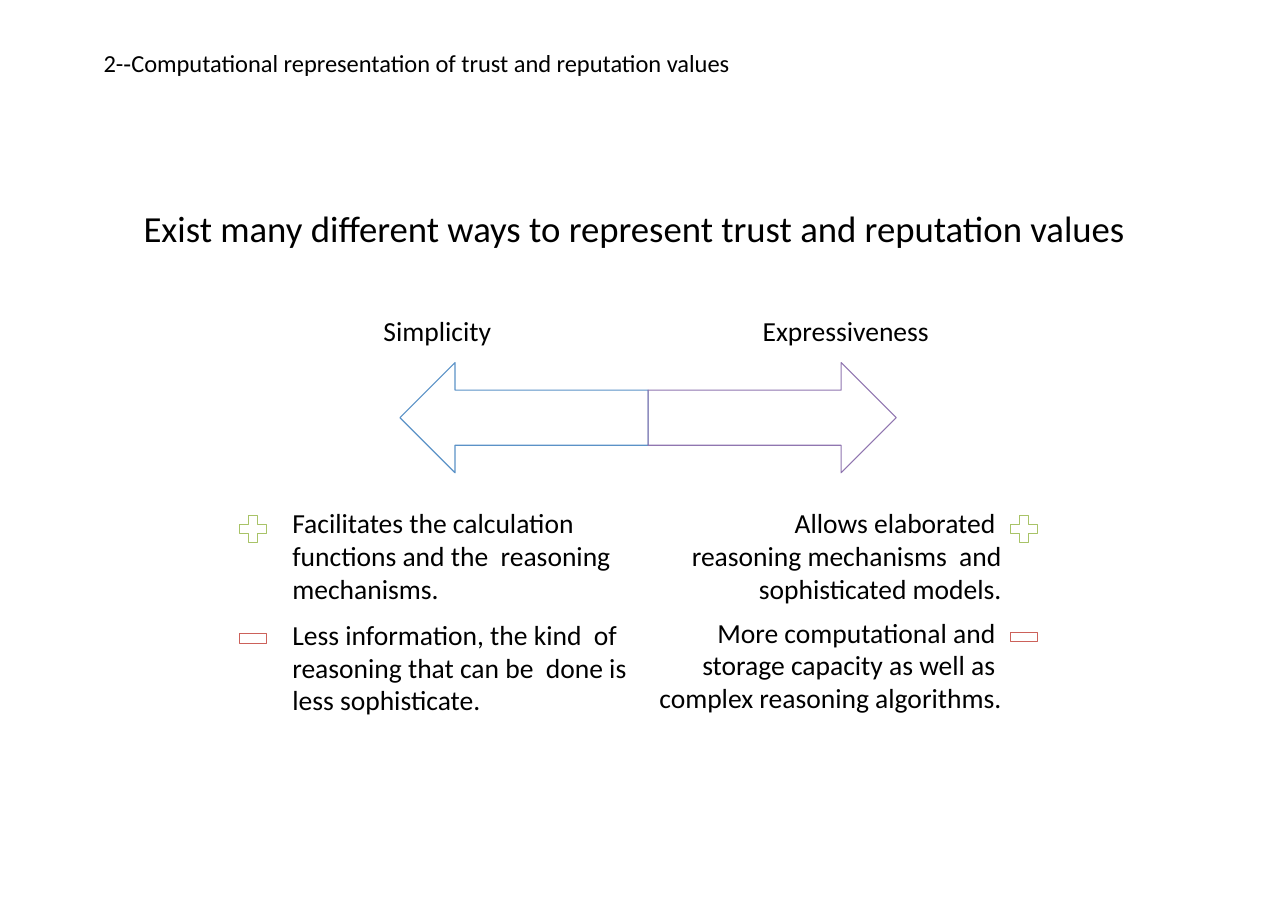
from dataclasses import dataclass

from pptx import Presentation
from pptx.dml.color import RGBColor
from pptx.enum.shapes import MSO_SHAPE
from pptx.enum.text import PP_ALIGN
from pptx.util import Cm, Pt

HEADER = "2-‐Computational representation of trust and reputation values"
HEADING = "Exist many diﬀerent ways to represent trust and reputation values"

# Each argument: text, space before (pt), left margin and first-line indent (cm)
SIDES = [
    {
        "label": "Simplicity", "label_left": 8.81, "label_width": 3.28,
        "arrow": MSO_SHAPE.LEFT_ARROW, "color": "simplicity",
        "text_left": 6.71, "text_width": 8.15, "align": PP_ALIGN.LEFT,
        "sign_left": 5.52, "minus_top": 14.61,
        "arguments": [
            ("Facilitates the calculation  functions and the  reasoning mechanisms.", 0, 0.03, 0),
            ("Less information, the kind  of reasoning that can be  done is less sophisticate.",
             9, 0.03, 0),
        ],
    },
    {
        "label": "Expressiveness", "label_left": 17.55, "label_width": 5.36,
        "arrow": MSO_SHAPE.RIGHT_ARROW, "color": "expressiveness",
        "text_left": 14.22, "text_width": 8.87, "align": PP_ALIGN.RIGHT,
        "sign_left": 23.3, "minus_top": 14.58,
        "arguments": [
            ("Allows elaborated  reasoning mechanisms  and sophisticated models.", 0, 1.22, 2.08),
            ("More computational and  storage capacity as well as  complex reasoning algorithms.",
             7.5, 0.03, 1.47),
        ],
    },
]

ARROW_LEFT, ARROW_TOP, ARROW_WIDTH, ARROW_HEIGHT = 9.22, 8.36, 5.72, 2.54
SIGN_SIZE, MINUS_HEIGHT, PLUS_TOP = 0.62, 0.22, 11.89


@dataclass(frozen=True)
class Theme:
    font: str = "Calibri"
    text: str = "000000"
    simplicity: str = "5B92C7"
    expressiveness: str = "9076B0"
    plus: str = "A8C367"
    minus: str = "CC615A"
    header_size: float = 16
    heading_size: float = 24
    body_size: float = 18
    line_width: float = 0.75


THEME = Theme()


def add_text_frame(slide, left, top, width, height):
    frame = slide.shapes.add_textbox(Cm(left), Cm(top), Cm(width), Cm(height)).text_frame
    frame.word_wrap = True
    frame.margin_left = frame.margin_right = frame.margin_bottom = 0
    frame.margin_top = Cm(0.04)
    return frame


def fill_paragraph(paragraph, text, size, margin=0.03, indent=0):
    paragraph.text = text
    properties = paragraph._p.get_or_add_pPr()
    properties.set("marL", str(Cm(margin)))
    properties.set("indent", str(Cm(indent)))
    paragraph.font.name = THEME.font
    paragraph.font.size = Pt(size)
    paragraph.font.color.rgb = RGBColor.from_string(THEME.text)


def add_line_of_text(slide, text, size, *box):
    fill_paragraph(add_text_frame(slide, *box).paragraphs[0], text, size)


def add_outline(slide, kind, color, left, top, width, height, *adjustments):
    """Add an unfilled preset shape with a thin coloured line."""
    shape = slide.shapes.add_shape(kind, Cm(left), Cm(top), Cm(width), Cm(height))
    for index, value in enumerate(adjustments):
        shape.adjustments[index] = value
    shape.shadow.inherit = False
    shape.fill.background()
    shape.line.color.rgb = RGBColor.from_string(color)
    shape.line.width = Pt(THEME.line_width)


def add_side(slide, side, arrow_left):
    add_outline(slide, side["arrow"], getattr(THEME, side["color"]),
                arrow_left, ARROW_TOP, ARROW_WIDTH, ARROW_HEIGHT, 0.5, 0.5)
    add_line_of_text(slide, side["label"], THEME.body_size,
                     side["label_left"], 7.21, side["label_width"], 0.84)
    add_outline(slide, MSO_SHAPE.CROSS, THEME.plus,
                side["sign_left"], PLUS_TOP, SIGN_SIZE, SIGN_SIZE, 0.34)
    add_outline(slide, MSO_SHAPE.RECTANGLE, THEME.minus,
                side["sign_left"], side["minus_top"], SIGN_SIZE, MINUS_HEIGHT)

    frame = add_text_frame(slide, side["text_left"], 11.66, side["text_width"], 4.95)
    for index, (text, space_before, margin, indent) in enumerate(side["arguments"]):
        paragraph = frame.add_paragraph() if index else frame.paragraphs[0]
        paragraph.alignment = side["align"]
        paragraph.line_spacing = 0.99
        if index:
            paragraph.space_before = Pt(space_before)
        fill_paragraph(paragraph, text, THEME.body_size, margin, indent)


def main():
    presentation = Presentation()
    presentation.slide_width, presentation.slide_height = Cm(29.69), Cm(20.98)
    slide = presentation.slides.add_slide(presentation.slide_layouts[6])
    add_line_of_text(slide, HEADER, THEME.header_size, 2.36, 1.07, 25.4, 0.71)
    add_line_of_text(slide, HEADING, THEME.heading_size, 3.28, 4.7, 24.92, 1.09)
    for index, side in enumerate(SIDES):
        add_side(slide, side, ARROW_LEFT + index * ARROW_WIDTH)
    presentation.save("out.pptx")


if __name__ == "__main__":
    main()
